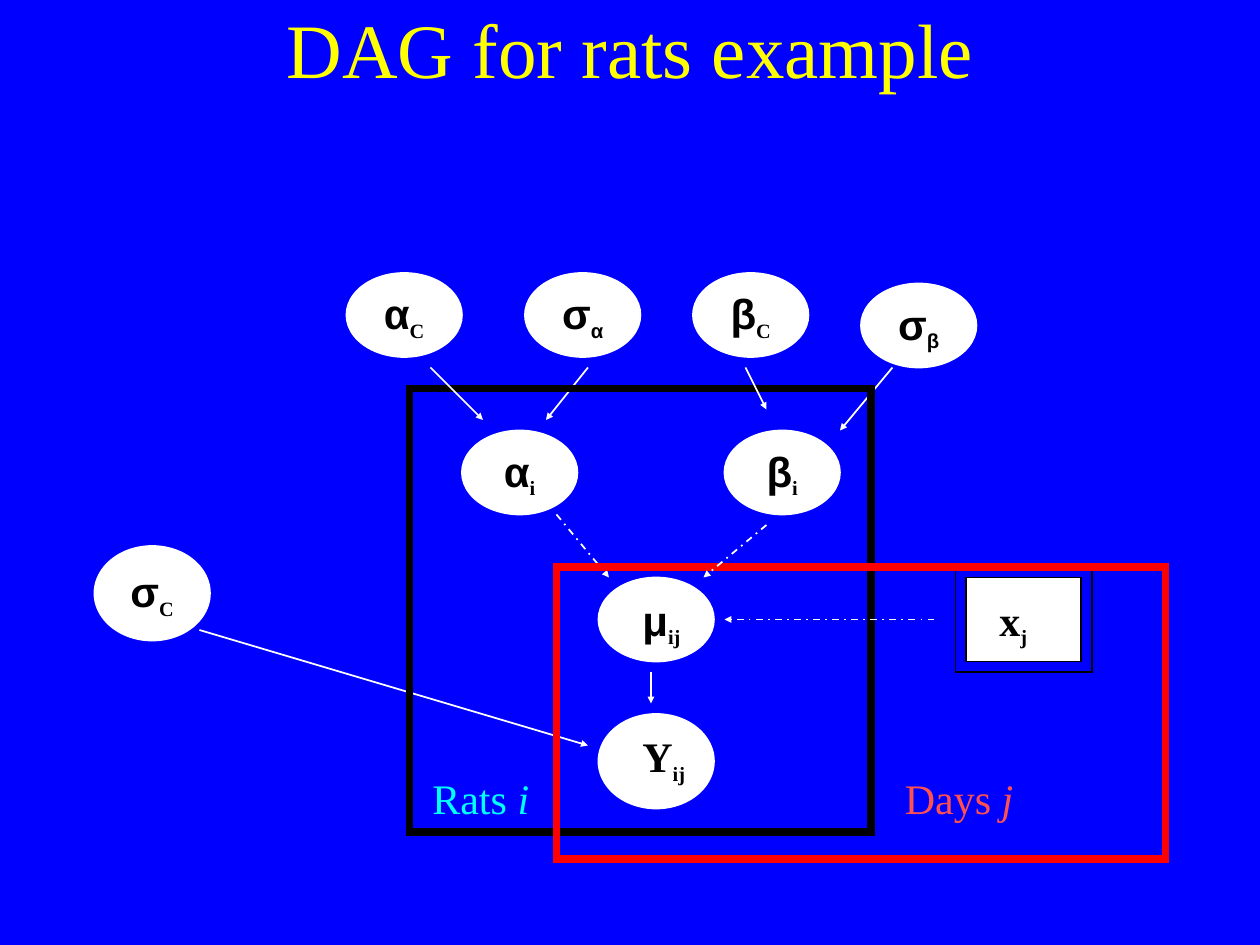
from dataclasses import dataclass

from lxml.etree import SubElement
from pptx import Presentation
from pptx.dml.color import RGBColor
from pptx.enum.dml import MSO_LINE
from pptx.enum.shapes import MSO_CONNECTOR, MSO_SHAPE
from pptx.enum.text import MSO_ANCHOR, MSO_AUTO_SIZE, PP_ALIGN
from pptx.oxml.ns import qn
from pptx.util import Pt


@dataclass(frozen=True)
class Theme:
    """Colours, fonts, type sizes and line widths of the slide."""
    background: str = "0000FF"
    title: str = "FFFF00"
    node: str = "FFFFFF"
    ink: str = "000000"
    rats: str = "00FFFF"
    days: str = "FF5050"
    days_frame: str = "FF0000"
    serif: str = "Times New Roman"
    sans: str = "Arial"
    title_size: int = 44
    symbol_size: int = 24
    index_size: int = 20
    thin: float = 1
    thick: float = 4.5


THEME = Theme()
NODE_WIDTH, NODE_HEIGHT, TALL_NODE_HEIGHT = 66, 48, 54

PARENT_NODES = [
    ("σ", "C", 54, 312, TALL_NODE_HEIGHT),
    ("α", "C", 198, 156, NODE_HEIGHT),
    ("σ", "α", 300, 156, NODE_HEIGHT),
    ("β", "C", 396, 156, NODE_HEIGHT),
    ("σ", "β", 492, 162, NODE_HEIGHT),
    ("α", "i", 264, 246, NODE_HEIGHT),
    ("β", "i", 414, 246, NODE_HEIGHT),
]
DATA_NODES = [
    (MSO_SHAPE.OVAL, 342, 330, NODE_HEIGHT, THEME.node, "μ", "ij", (360, 336, 48)),
    (MSO_SHAPE.OVAL, 342, 408, TALL_NODE_HEIGHT, THEME.node, "Y", "ij", (360, 414, 42)),
    (MSO_SHAPE.RECTANGLE, 552, 330, NODE_HEIGHT, THEME.ink, "x", "j", (564, 336, 66)),
]
ARROWS_BELOW_FRAMES = [
    ((372, 384), (372, 402), False),
    ((114, 360), (336, 426), False),
    ((510, 210), (480, 246), False),
    ((336, 210), (312, 240), False),
    ((318, 294), (348, 330), True),
]
ARROWS_ABOVE_FRAMES = [
    ((534, 354), (414, 354), True),
    ((438, 300), (402, 330), True),
    ((246, 210), (276, 240), False),
    ((426, 210), (438, 234), False),
]
FRAMES = [
    (546, 324, 78, 60, THEME.ink, THEME.thin),
    (234, 222, 264, 253.5, THEME.ink, THEME.thick),
    (318, 324, 348, 167, THEME.days_frame, THEME.thick),
]
PLATE_LABELS = [
    ("Rats ", "i", 240, 72, THEME.rats),
    ("Days ", "j", 510, 80, THEME.days),
]


def apply_format(target, values):
    """Set each attribute of the target from a dict of values."""
    for name, value in values.items():
        setattr(target, name, value)


def add_span(para, text, font, size, colour, **extra):
    """Add a formatted run to a paragraph and return it."""
    span = para.add_run()
    span.text = text
    apply_format(span.font, {"name": font, "size": Pt(size), **extra})
    span.font.color.rgb = RGBColor.from_string(colour)
    return span


def add_indexed_symbol(para, symbol, index):
    """Write a bold symbol followed by its subscript."""
    for text, size in ((symbol, THEME.symbol_size), (index, THEME.index_size)):
        font = THEME.sans if text in "αβσμ" else THEME.serif
        span = add_span(para, text, font, size, THEME.ink, bold=True)
    span._r.get_or_add_rPr().set("baseline", "-25000")


def add_box(page, kind, bounds, fill, line, width):
    """Add a preset shape with sharp corners, hollow when fill is None."""
    box = page.shapes.add_shape(kind, *map(Pt, bounds))
    box.shadow.inherit = False
    if fill:
        box.fill.solid()
        box.fill.fore_color.rgb = RGBColor.from_string(fill)
    else:
        box.fill.background()
    box.line.color.rgb = RGBColor.from_string(line)
    box.line.width = Pt(width)
    SubElement(box.line._get_or_add_ln(), qn("a:miter"), lim="800000")
    return box


def add_parent_node(page, symbol, index, left, top, height):
    """Add an ellipse that carries its own symbol."""
    bounds = (left, top, NODE_WIDTH, height)
    box = add_box(page, MSO_SHAPE.OVAL, bounds, THEME.node, THEME.node, THEME.thin)
    apply_format(box.text_frame, {"word_wrap": False, "vertical_anchor": MSO_ANCHOR.MIDDLE})
    para = box.text_frame.paragraphs[0]
    para.alignment = PP_ALIGN.CENTER
    add_indexed_symbol(para, symbol, index)


def add_label(page, left, top, width, wrap):
    """Add an empty text box and return its first paragraph."""
    box = page.shapes.add_textbox(Pt(left), Pt(top), Pt(width), Pt(36))
    apply_format(box.text_frame, {"word_wrap": wrap, "auto_size": MSO_AUTO_SIZE.SHAPE_TO_FIT_TEXT})
    return box.text_frame.paragraphs[0]


def add_data_node(page, kind, left, top, height, line, symbol, index, label):
    """Add a node whose symbol sits in a text box on top."""
    add_box(page, kind, (left, top, NODE_WIDTH, height), THEME.node, line, THEME.thin)
    add_indexed_symbol(add_label(page, *label, True), symbol, index)


def add_arrow(page, start, end, dashed):
    """Add a straight arrow, dash-dotted for a deterministic link."""
    arrow = page.shapes.add_connector(MSO_CONNECTOR.STRAIGHT, *map(Pt, start + end))
    arrow.line.color.rgb = RGBColor.from_string(THEME.node)
    arrow.line.width = Pt(THEME.thin)
    if dashed:
        arrow.line.dash_style = MSO_LINE.DASH_DOT
    SubElement(arrow.line._get_or_add_ln(), qn("a:tailEnd"), type="triangle", w="sm", len="sm")
    SubElement(arrow._element.spPr, qn("a:effectLst"))


def add_plate_label(page, name, index, left, width, colour):
    """Name a plate with its italic index."""
    para = add_label(page, left, 438, width, True)
    add_span(para, name, THEME.serif, THEME.symbol_size, colour)
    add_span(para, index, THEME.serif, THEME.symbol_size, colour, italic=True)


def add_title(page, text):
    """Place and format the title placeholder."""
    title = page.shapes.title
    apply_format(title, {"left": Pt(0), "top": Pt(0), "width": Pt(720), "height": Pt(54)})
    apply_format(title.text_frame, {"vertical_anchor": MSO_ANCHOR.MIDDLE, "auto_size": MSO_AUTO_SIZE.NONE})
    para = title.text_frame.paragraphs[0]
    para.alignment = PP_ALIGN.CENTER
    add_span(para, text, THEME.serif, THEME.title_size, THEME.title)


def main():
    """Build the graph slide and save it."""
    deck = Presentation()
    apply_format(deck, {"slide_width": Pt(720), "slide_height": Pt(540)})
    page = deck.slides.add_slide(deck.slide_layouts[5])
    page.background.fill.solid()
    page.background.fill.fore_color.rgb = RGBColor.from_string(THEME.background)
    add_title(page, "DAG for rats example")
    for node in PARENT_NODES:
        add_parent_node(page, *node)
    for node in DATA_NODES:
        add_data_node(page, *node)
    for arrow in ARROWS_BELOW_FRAMES:
        add_arrow(page, *arrow)
    for *bounds, colour, width in FRAMES:
        add_box(page, MSO_SHAPE.RECTANGLE, bounds, None, colour, width)
    for arrow in ARROWS_ABOVE_FRAMES:
        add_arrow(page, *arrow)
    for label in PLATE_LABELS:
        add_plate_label(page, *label)
    deck.save("out.pptx")


if __name__ == "__main__":
    main()
